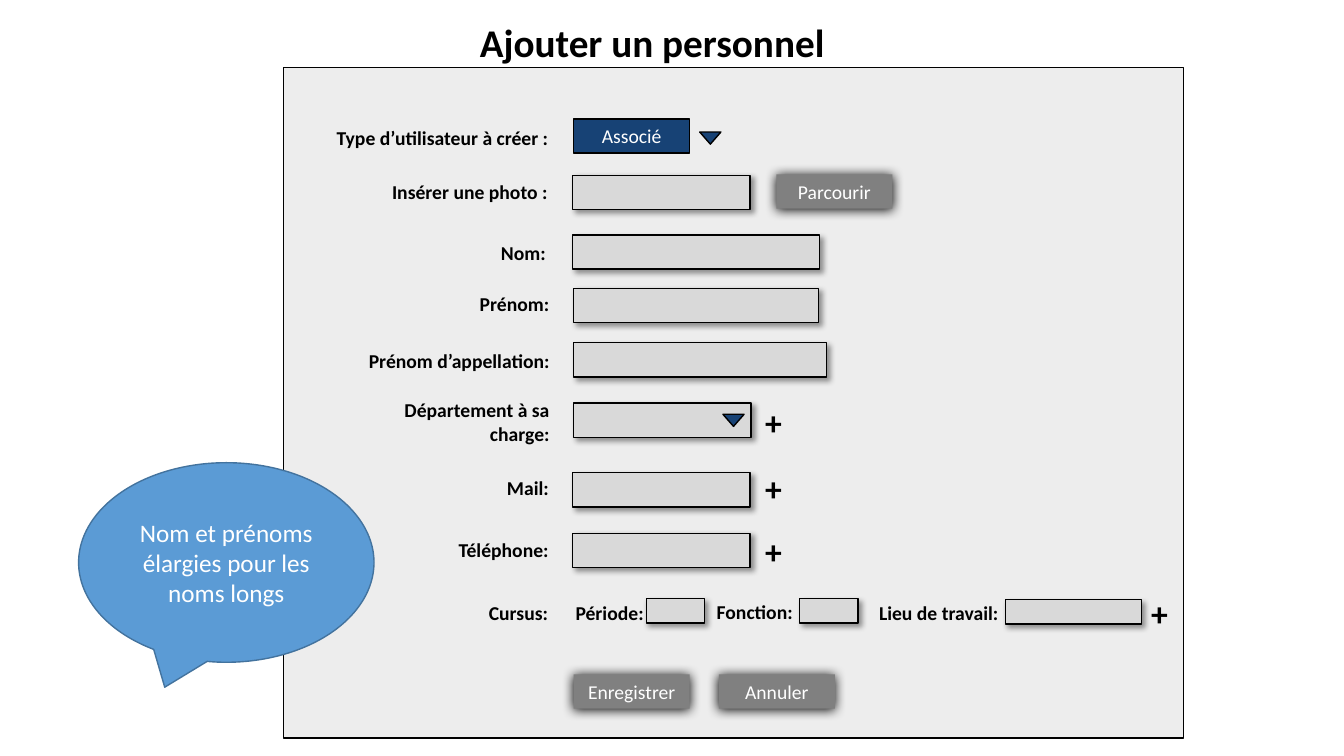
from dataclasses import dataclass

from lxml.etree import SubElement
from pptx import Presentation
from pptx.dml.color import RGBColor
from pptx.enum.shapes import MSO_SHAPE
from pptx.enum.text import MSO_ANCHOR, PP_ALIGN
from pptx.oxml.ns import qn
from pptx.util import Emu, Pt


@dataclass(frozen=True)
class Theme:
    font: str = "Calibri"
    black: str = "000000"
    white: str = "FFFFFF"
    panel: str = "EDEDED"
    field: str = "D9D9D9"
    button: str = "808080"
    choice: str = "174275"
    callout: str = "5B9BD5"
    callout_line: str = "43739E"
    title_size: int = 28
    plus_size: int = 24
    callout_size: int = 18
    body_size: int = 14


THEME = Theme()
PX = 9144  # 100 px to the inch

TITLE = ("Ajouter un personnel", (466, 13, 363, 57))
PANEL = (281, 67, 893, 665)
CALLOUT = ("Nom et prénoms élargies pour les noms longs", (78, 459, 293, 198))

LABEL_WIDTH, LABEL_HEIGHT = 203, 34
FIELD_HEIGHT, SMALL_FIELD_HEIGHT = 34, 24
BUTTON_SIZE = (115, 34)
ARROW_SIZE = (21, 12)
PLUS_SIZE = (46, 50)
PLUS_LEFT = 749

LEFT, RIGHT = PP_ALIGN.LEFT, PP_ALIGN.RIGHT

# text, left, top, width, height, alignment
LABELS = [
    ("Type d’utilisateur à créer :", 324, 120, 246, LABEL_HEIGHT, LEFT),
    ("Département à sa charge:", 352, 390, LABEL_WIDTH, 57, RIGHT),
] + [
    (text, left, top, LABEL_WIDTH, LABEL_HEIGHT, LEFT)
    for text, left, top in [
        ("Insérer une photo :", 379, 174),
        ("Nom:", 487, 234),
        ("Prénom:", 466, 285),
        ("Prénom d’appellation:", 356, 341),
        ("Mail:", 493, 467),
        ("Téléphone:", 445, 529),
        ("Cursus:", 475, 591),
        ("Période:", 561, 591),
        ("Fonction:", 701, 590),
        ("Lieu de travail:", 862, 591),
    ]
]

# left, top, width
FIELDS = [
    (568, 174, 176),
    (568, 233, 245),
    (569, 286, 243),
    (569, 340, 251),
    (569, 400, 176),
    (568, 469, 176),
    (568, 529, 176),
]
CURSUS_FIELDS = [(641, 594, 58), (793, 594, 58), (997, 595, 135)]

BUTTONS = [("Parcourir", 770, 173), ("Enregistrer", 569, 669), ("Annuler", 713, 669)]
CHOICE = ("Associé", 569, 118)
ARROWS = [(694, 131), (717, 411)]
PLUSES = [(PLUS_LEFT, 394), (PLUS_LEFT, 459), (PLUS_LEFT, 522), (1132, 583)]

# opacity in percent, blur and distance in points, direction in degrees
FIELD_SHADOW = (40, 4, 3, 45)
BUTTON_SHADOW = (100, 8.5, 1, 90)


def place(*box):
    return [Emu(length * PX) for length in box]


def set_text(shape, text, size, color, bold=False, align=LEFT, anchor=MSO_ANCHOR.TOP):
    frame = shape.text_frame
    frame.word_wrap = True
    frame.vertical_anchor = anchor
    frame.text = text
    paragraph = frame.paragraphs[0]
    paragraph.alignment = align
    font = paragraph.font
    font.name, font.size, font.bold = THEME.font, Pt(size), bold
    font.color.rgb = RGBColor.from_string(color)


def add_label(slide, text, box, size=THEME.body_size, align=LEFT):
    label = slide.shapes.add_textbox(*place(*box))
    set_text(label, text, size, THEME.black, bold=True, align=align)


def add_shadow(shape, opacity, blur, distance, direction):
    effects = shape.element.spPr.find(qn("a:effectLst"))
    shadow = SubElement(
        effects, qn("a:outerShdw"),
        blurRad=str(Pt(blur)), dist=str(Pt(distance)), dir=str(direction * 60000),
        algn="ctr", rotWithShape="0",
    )
    color = SubElement(shadow, qn("a:srgbClr"), val=THEME.black)
    SubElement(color, qn("a:alpha"), val=str(opacity * 1000))


def add_filled(slide, box, fill, line=THEME.black, kind=MSO_SHAPE.RECTANGLE, shadow=None,
               text=None, size=THEME.body_size):
    shape = slide.shapes.add_shape(kind, *place(*box))
    shape.shadow.inherit = False
    shape.fill.solid()
    shape.fill.fore_color.rgb = RGBColor.from_string(fill)
    if line:
        shape.line.color.rgb = RGBColor.from_string(line)
        shape.line.width = Pt(1)
    else:
        shape.line.fill.background()
    if shadow:
        add_shadow(shape, *shadow)
    if text:
        set_text(shape, text, size, THEME.white, align=PP_ALIGN.CENTER, anchor=MSO_ANCHOR.MIDDLE)
    return shape


def main():
    presentation = Presentation()
    presentation.slide_width, presentation.slide_height = place(1333, 750)
    slide = presentation.slides.add_slide(presentation.slide_layouts[5])

    add_filled(slide, PANEL, THEME.panel)

    title = slide.shapes.title
    text, box = TITLE
    title.left, title.top, title.width, title.height = place(*box)
    set_text(title, text, THEME.title_size, THEME.black, bold=True)

    for text, *box, align in LABELS:
        add_label(slide, text, box, align=align)
    for fields, height in [(FIELDS, FIELD_HEIGHT), (CURSUS_FIELDS, SMALL_FIELD_HEIGHT)]:
        for field in fields:
            add_filled(slide, (*field, height), THEME.field, shadow=FIELD_SHADOW)
    for text, *corner in BUTTONS:
        add_filled(slide, (*corner, *BUTTON_SIZE), THEME.button, line=None,
                   shadow=BUTTON_SHADOW, text=text)

    text, *corner = CHOICE
    add_filled(slide, (*corner, *BUTTON_SIZE), THEME.choice, text=text)
    for corner in ARROWS:
        arrow = add_filled(slide, (*corner, *ARROW_SIZE), THEME.choice,
                           kind=MSO_SHAPE.ISOSCELES_TRIANGLE)
        arrow.rotation = 180
    for corner in PLUSES:
        add_label(slide, "+", (*corner, *PLUS_SIZE), THEME.plus_size)

    text, box = CALLOUT
    add_filled(slide, box, THEME.callout, THEME.callout_line, MSO_SHAPE.OVAL_CALLOUT,
               text=text, size=THEME.callout_size)

    presentation.save("out.pptx")


if __name__ == "__main__":
    main()
